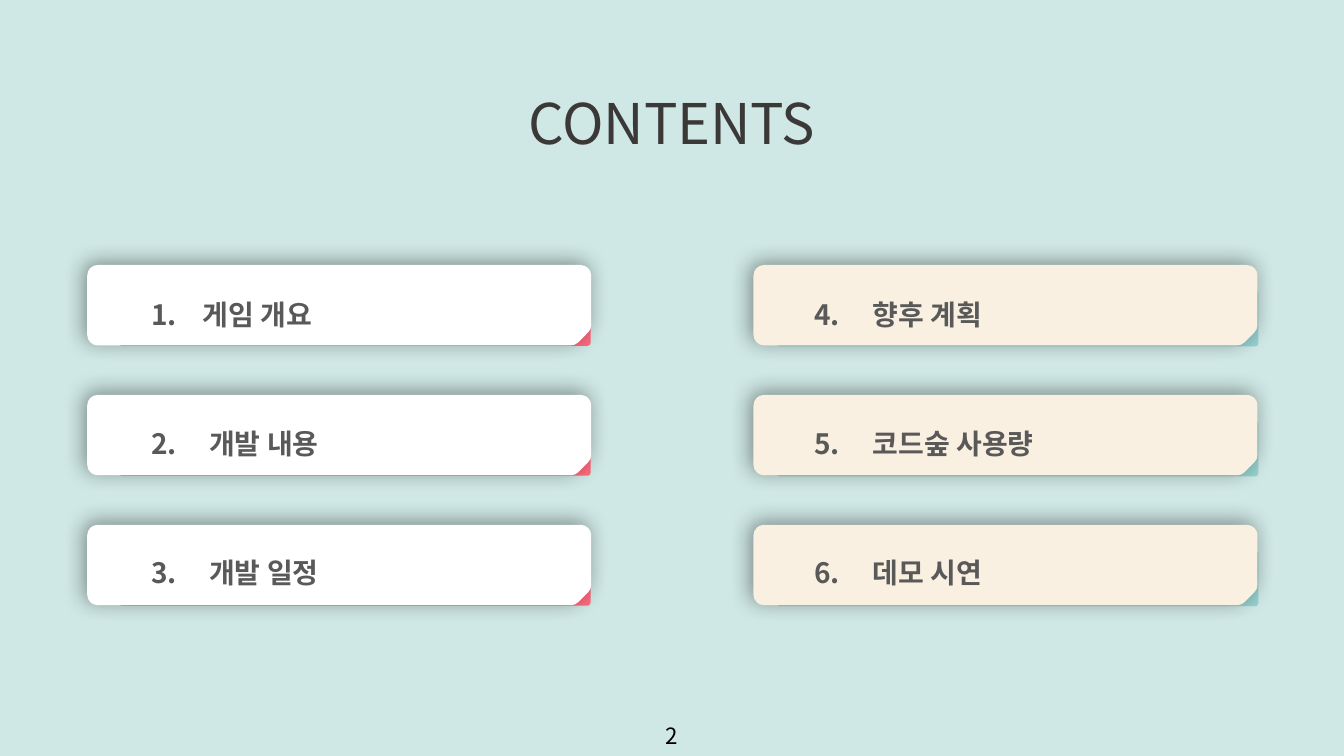
from lxml.etree import SubElement
from pptx import Presentation
from pptx.dml.color import RGBColor
from pptx.enum.shapes import MSO_SHAPE
from pptx.enum.text import MSO_ANCHOR, PP_ALIGN
from pptx.oxml.ns import qn
from pptx.util import Pt

FONT = "Noto Sans CJK KR"
CARD_W, CARD_H = 345, 42.4
FIRST_CENTER_Y, FIRST_LABEL_Y = 218, 196.6
CARD_PITCH, LABEL_PITCH = 92.8, 92.4


def color(hex_value):
    return RGBColor.from_string(hex_value)


def add_text(shapes, text, left, top, width, height, size, ink, bold=False,
             align=PP_ALIGN.LEFT, anchor=MSO_ANCHOR.TOP, spacing=1.0, hang=0):
    box = shapes.add_textbox(Pt(left), Pt(top), Pt(width), Pt(height))
    frame = box.text_frame
    frame.word_wrap = True
    frame.vertical_anchor = anchor
    paragraph = frame.paragraphs[0]
    paragraph.alignment = align
    paragraph.line_spacing = spacing
    if hang:
        # The tab after the number stops at the hanging indent
        props = paragraph._p.get_or_add_pPr()
        props.set("marL", str(Pt(hang)))
        props.set("indent", str(-Pt(hang)))
    run = paragraph.add_run()
    run.text = text
    run.font.size = Pt(size)
    run.font.bold = bold
    run.font.name = FONT
    run.font.color.rgb = color(ink)
    SubElement(run._r.get_or_add_rPr(), qn("a:ea"), typeface=FONT)


def add_upright(shapes, kind, center_x, center_y, length, thickness, fill):
    """Add a shape drawn upright and turned by 90 degrees about its center."""
    shape = shapes.add_shape(kind, Pt(center_x - thickness / 2),
                             Pt(center_y - length / 2), Pt(thickness), Pt(length))
    shape.rotation = 90
    shape.shadow.inherit = False
    shape.fill.solid()
    shape.fill.fore_color.rgb = color(fill)
    shape.line.fill.background()
    return shape


def add_soft_shadow(shape):
    effects = shape._element.spPr.find(qn("a:effectLst"))
    shadow = SubElement(effects, qn("a:outerShdw"), blurRad=str(Pt(15)),
                        dist=str(Pt(4)), dir="13500000", algn="ctr", rotWithShape="0")
    black = SubElement(shadow, qn("a:srgbClr"), val="000000")
    SubElement(black, qn("a:alpha"), val="40000")


def add_card(slide, row, column, number, title, hang):
    shapes = slide.shapes.add_group_shape().shapes
    center_x = column["center_x"]
    center_y = FIRST_CENTER_Y + row * CARD_PITCH

    # Coloured corner behind the card
    shift_x, shift_y = column["corner_shift"]
    length, thickness = column["corner_size"]
    corner = add_upright(shapes, MSO_SHAPE.ROUNDED_RECTANGLE, center_x + shift_x,
                         center_y + shift_y, length, thickness, column["corner"])
    corner.adjustments[0] = 0.058

    # Card with a snipped corner, rounded by its thick outline
    card = add_upright(shapes, MSO_SHAPE.SNIP_1_RECTANGLE, center_x, center_y,
                       CARD_W, CARD_H, column["face"])
    card.line.color.rgb = color(column["face"])
    card.line.width = Pt(15)
    SubElement(card.line._get_or_add_ln(), qn("a:round"))
    add_soft_shadow(card)

    # Number and title
    add_text(shapes, f"{number}.\t{title}", column["label_x"],
             FIRST_LABEL_Y + row * LABEL_PITCH, 337, 40, 20, "595959",
             bold=True, spacing=1.5, hang=hang)


def main():
    prs = Presentation()
    prs.slide_width, prs.slide_height = Pt(960), Pt(540)
    slide = prs.slides.add_slide(prs.slide_layouts[6])
    slide.background.fill.solid()
    slide.background.fill.fore_color.rgb = color("CFE8E5")

    # Heading
    add_text(slide.shapes, "CONTENTS", 313.2, 36, 333.4, 72.7, 40, "3B3838",
             align=PP_ALIGN.CENTER, spacing=1.5)

    # Two columns of three cards
    white = dict(center_x=242.3, label_x=100.8, face="FFFFFF", corner="FF6B7E",
                 corner_shift=(11, 11), corner_size=(337, 36))
    cream = dict(center_x=718.2, label_x=574.6, face="F9F0E1", corner="96D1CF",
                 corner_shift=(8.6, 9.6), corner_size=(344, 39.6))
    chapters = [
        (white, [("게임 개요", 37), ("개발 내용", 41.5), ("개발 일정", 41.5)]),
        (cream, [("향후 계획", 41.5), ("코드숲 사용량", 41.5), ("데모 시연", 41.5)]),
    ]
    number = 0
    for column, titles in chapters:
        for row, (title, hang) in enumerate(titles):
            number += 1
            add_card(slide, row, column, number, title, hang)

    # Page number
    add_text(slide.shapes, "2", 445, 511.2, 69.8, 28.8, 16, "000000",
             align=PP_ALIGN.CENTER, anchor=MSO_ANCHOR.MIDDLE)

    prs.save("out.pptx")


if __name__ == "__main__":
    main()
